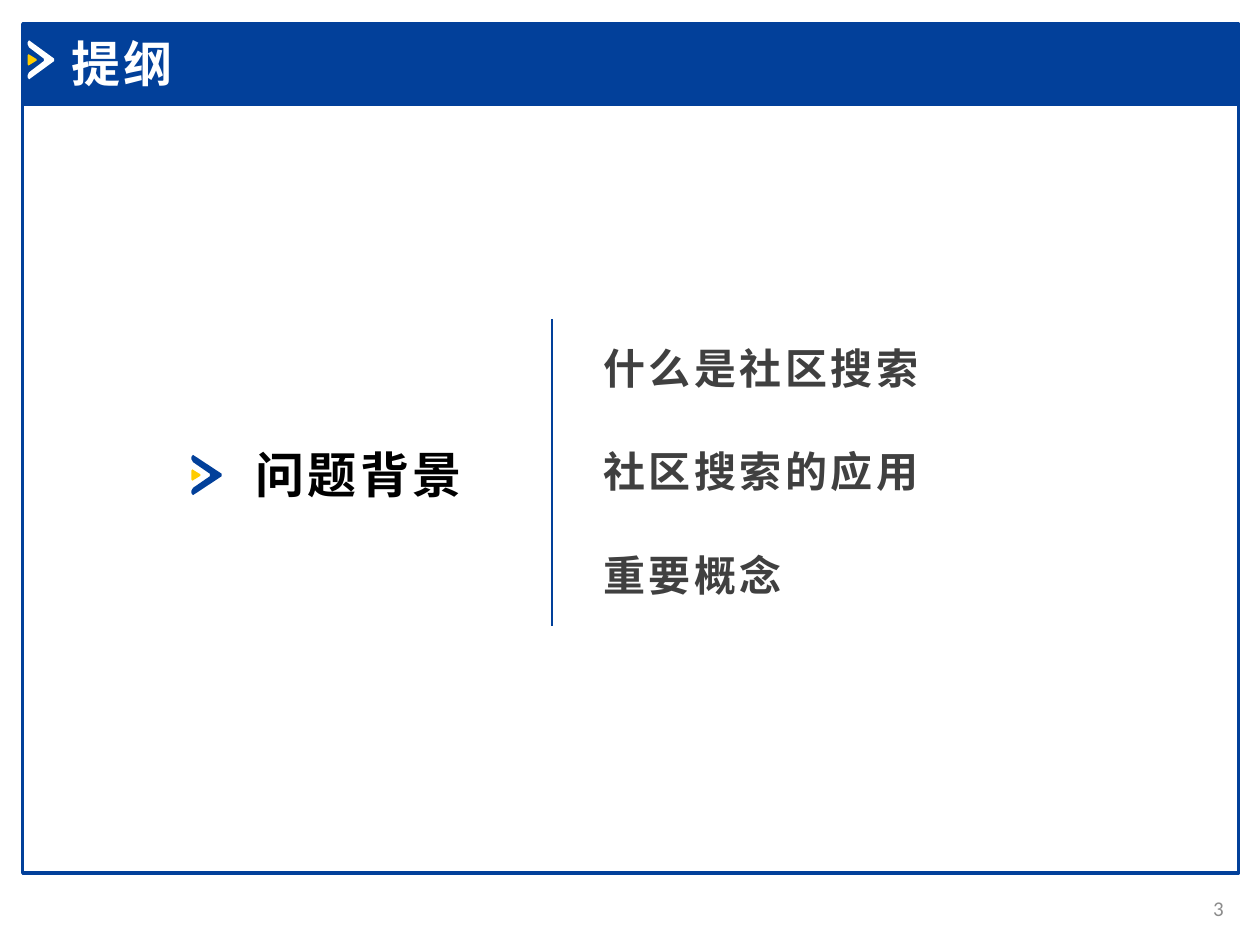
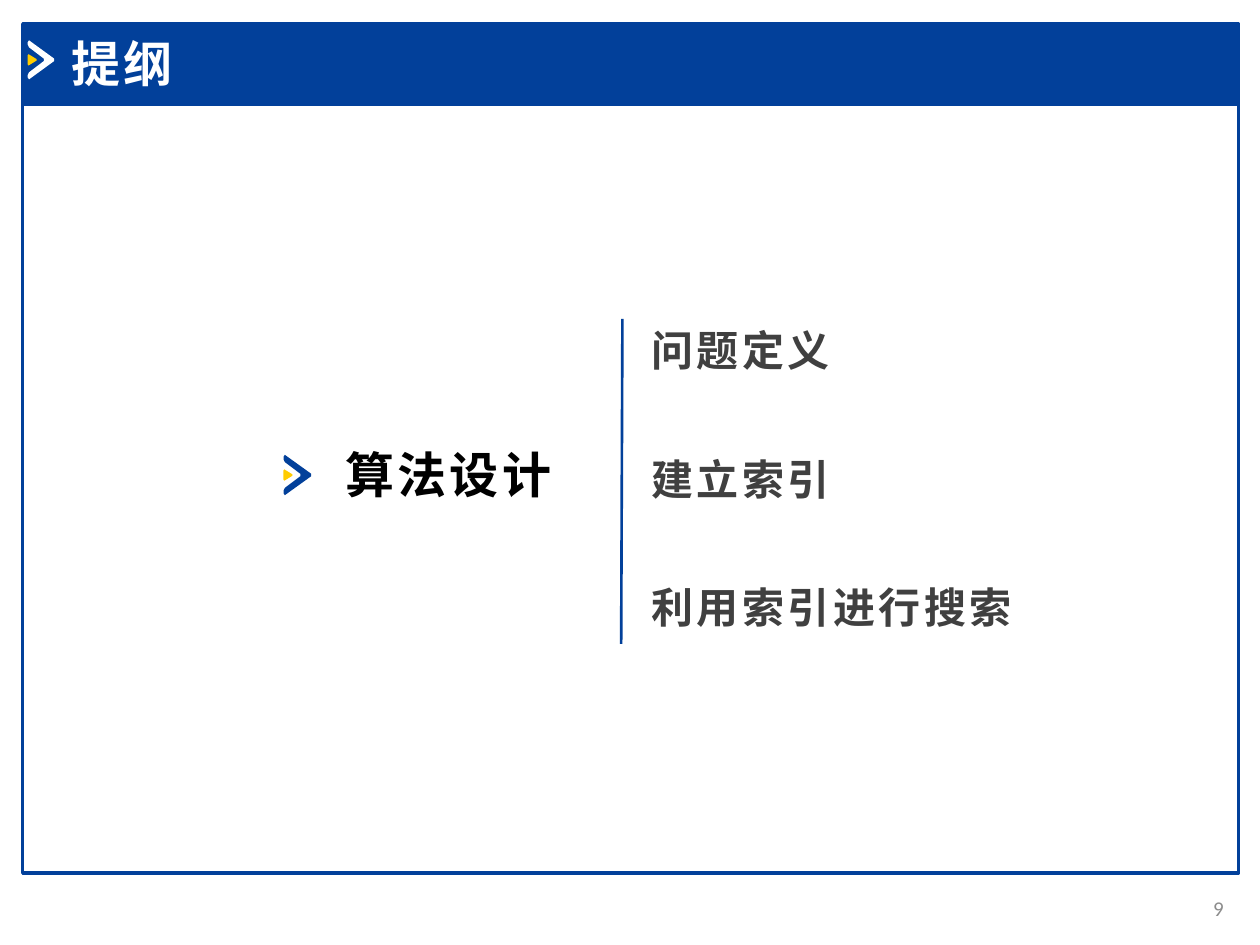
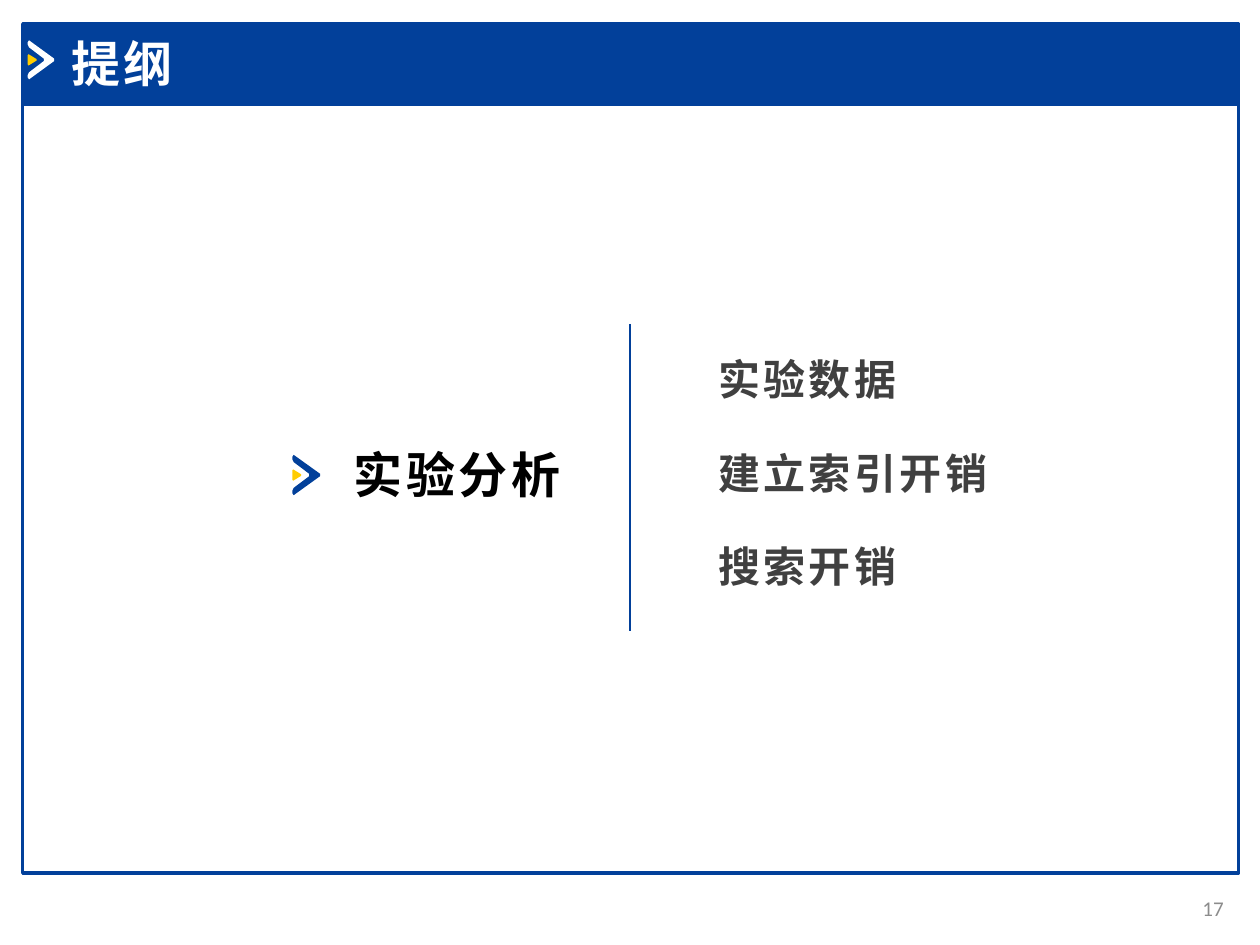
import pptx
import pptx.util
import pptx.dml.color
import pptx.enum.shapes
import pptx.enum.text
import pptx.oxml
import pptx.oxml.ns

Inches = pptx.util.Inches
RGBColor = pptx.dml.color.RGBColor

BLUE = RGBColor(0x02, 0x40, 0x9A)
YELLOW = RGBColor(0xFF, 0xCC, 0x00)
WHITE = RGBColor(0xFF, 0xFF, 0xFF)
BLACK = RGBColor(0x00, 0x00, 0x00)
DARK_GREY = RGBColor(0x40, 0x40, 0x40)
PAGE_GREY = RGBColor(0x8C, 0x8C, 0x8C)
LATIN_FONT = "Calibri"
CHINESE_FONT = "Noto Sans CJK SC"

TITLE = "提纲"
HEADING_TOP = 3.48
SECTIONS = [
    {
        "number": "3",
        "heading": "问题背景", "heading_left": 1.93, "heading_width": 2.29,
        "arrow": (1.52, 3.61, 0.24, 0.32),
        "divider": (4.38, 2.53, 4.38, 4.97),
        "topics": [("什么是社区搜索", 3.68), ("社区搜索的应用", 3.68), ("重要概念", 4.26)],
        "topics_left": 4.69, "topics_top": 2.67, "topics_step": 0.82,
    },
    {
        "number": "9",
        "heading": "算法设计", "heading_left": 2.64, "heading_width": 2.15,
        "arrow": (2.25, 3.61, 0.22, 0.32),
        "divider": (4.94, 2.53, 4.93, 5.11),
        "topics": [("问题定义", 3.51), ("建立索引", 3.51), ("利用索引进行搜索", 4.36)],
        "topics_left": 5.07, "topics_top": 2.53, "topics_step": 1.02,
    },
    {
        "number": "17",
        "heading": "实验分析", "heading_left": 2.71, "heading_width": 2.36,
        "arrow": (2.32, 3.61, 0.22, 0.32),
        "divider": (5, 2.57, 5, 5.01),
        "topics": [("实验数据", 2.58), ("建立索引开销", 2.78), ("搜索开销", 2.78)],
        "topics_left": 5.6, "topics_top": 2.76, "topics_step": 0.74,
    },
]

# Outlines as fractions of width and height
CHEVRON = [(0.05, 0), (0, 0.05), (0, 0.11), (0.05, 0.18), (0.61, 0.47), (0.61, 0.53),
           (0.05, 0.82), (0, 0.89), (0, 0.95), (0.05, 1), (1, 0.53), (1, 0.47)]
MARKER = [(0.1, 0), (0, 0.1), (0, 0.9), (0.1, 1), (1, 0.57), (1, 0.43)]
MARKER_WIDTH, MARKER_HEIGHT = 0.07, 0.09


def add_band(page, top, height, filled):
    band = page.shapes.add_shape(pptx.enum.shapes.MSO_SHAPE.RECTANGLE, Inches(0.18),
                                 Inches(top), Inches(9.65), Inches(height))
    band.shadow.inherit = False
    if filled:
        band.fill.solid()
        band.fill.fore_color.rgb = BLUE
    else:
        band.fill.background()
    band.line.color.rgb = BLUE
    band.line.width = pptx.util.Pt(2)


def add_outline(page, outline, left, top, width, height, color):
    points = [(Inches(left + x * width), Inches(top + y * height)) for x, y in outline]
    builder = page.shapes.build_freeform(*points[0], scale=1.0)
    builder.add_line_segments(points[1:], close=True)
    shape = builder.convert_to_shape()
    shape.shadow.inherit = False
    shape.fill.solid()
    shape.fill.fore_color.rgb = color
    shape.line.fill.background()


def add_arrow(page, left, top, width, height, color):
    """Draw a chevron with the small yellow marker inside its mouth."""
    add_outline(page, CHEVRON, left, top, width, height, color)
    marker_top = top + (height - MARKER_HEIGHT) / 2
    add_outline(page, MARKER, left, marker_top, MARKER_WIDTH, MARKER_HEIGHT, YELLOW)


def add_text(page, text, left, top, width, height, size, color, font=CHINESE_FONT):
    box = page.shapes.add_textbox(Inches(left), Inches(top), Inches(width), Inches(height))
    box.text_frame.word_wrap = True
    para = box.text_frame.paragraphs[0]
    para.text = text
    para.font.name = font
    para.font.size = pptx.util.Pt(size)
    para.font.color.rgb = color
    return box


def add_label(page, *args, **kwargs):
    """Add bold, letter-spaced Chinese text in a box that grows to fit."""
    box = add_text(page, *args, **kwargs)
    box.text_frame.auto_size = pptx.enum.text.MSO_AUTO_SIZE.SHAPE_TO_FIT_TEXT
    para = box.text_frame.paragraphs[0]
    para.font.bold = True
    properties = para.runs[0].font._element
    properties.set("lang", "zh-CN")
    properties.set("spc", "200")
    east_asian = pptx.oxml.parse_xml(
        f'<a:ea {pptx.oxml.ns.nsdecls("a")} typeface="{CHINESE_FONT}"/>')
    properties.append(east_asian)


def add_divider(page, *ends):
    divider = page.shapes.add_connector(pptx.enum.shapes.MSO_CONNECTOR.STRAIGHT,
                                        *[Inches(value) for value in ends])
    divider.line.color.rgb = BLUE
    divider.line.width = pptx.util.Pt(1.5)
    divider._element.spPr.append(
        pptx.oxml.parse_xml(f'<a:effectLst {pptx.oxml.ns.nsdecls("a")}/>'))


def add_frame(page, number):
    add_band(page, 0.83, 6.1, filled=False)
    add_band(page, 0.19, 0.64, filled=True)
    add_arrow(page, 0.22, 0.32, 0.21, 0.31, WHITE)
    box = add_text(page, number, 9.22, 7.01, 0.59, 0.4, 12, PAGE_GREY, LATIN_FONT)
    box.text_frame.vertical_anchor = pptx.enum.text.MSO_ANCHOR.MIDDLE
    box.text_frame.paragraphs[0].alignment = pptx.enum.text.PP_ALIGN.RIGHT
    add_label(page, TITLE, 0.47, 0.22, 3.56, 0.57, 28, WHITE, font=LATIN_FONT)


def add_section(page, section):
    add_label(page, section["heading"], section["heading_left"], HEADING_TOP,
              section["heading_width"], 0.57, 28, BLACK)
    add_arrow(page, *section["arrow"], BLUE)
    add_divider(page, *section["divider"])
    for index, (topic, width) in enumerate(section["topics"]):
        top = section["topics_top"] + index * section["topics_step"]
        add_label(page, topic, section["topics_left"], top, width, 0.5, 24, DARK_GREY)


def main():
    deck = pptx.Presentation()
    deck.slide_width, deck.slide_height = Inches(10), Inches(7.5)
    for section in SECTIONS:
        page = deck.slides.add_slide(deck.slide_layouts[6])
        add_frame(page, section["number"])
        add_section(page, section)
    deck.save("out.pptx")


if __name__ == "__main__":
    main()
